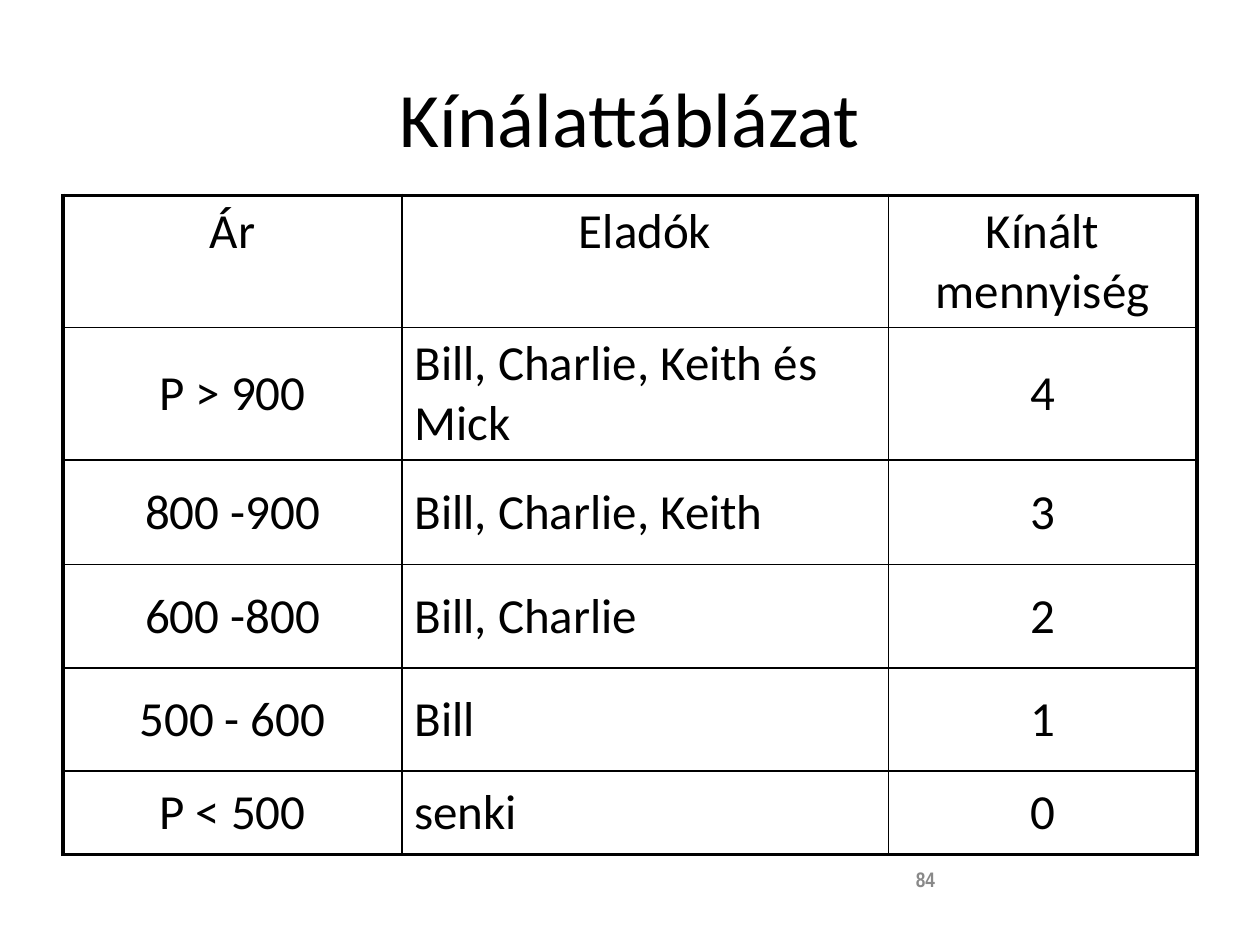
from lxml import etree
from pptx import Presentation
from pptx.dml.color import RGBColor
from pptx.enum.text import MSO_ANCHOR, PP_ALIGN
from pptx.oxml.ns import qn
from pptx.util import Inches, Pt

LEFT, CENTER = PP_ALIGN.LEFT, PP_ALIGN.CENTER
TOP, MIDDLE = MSO_ANCHOR.TOP, MSO_ANCHOR.MIDDLE

THEME = {
    "ink": "000000", "muted": "898989",
    "font": "Calibri", "number_font": "Arial Narrow",
    "title": 44, "body": 28, "number": 12,
    "outer_line": 2.25, "inner_line": 1,
}
ROWS = [
    ("Ár", "Eladók", "Kínált mennyiség"),
    ("P > 900", "Bill, Charlie, Keith és Mick", "4"),
    ("800 -900", "Bill, Charlie, Keith", "3"),
    ("600 -800", "Bill, Charlie", "2"),
    ("500 - 600", "Bill", "1"),
    ("P < 500", "senki", "0"),
]
COL_WIDTHS = [2.69, 3.86, 2.45]
ROW_HEIGHTS = [1.03, 1.04, 0.83, 0.82, 0.82, 0.66]


def write(tf, text, size=THEME["body"], font=THEME["font"], color=THEME["ink"],
          bold=False, align=LEFT):
    tf.word_wrap = True
    p = tf.paragraphs[0]
    p.alignment = align
    r = p.add_run()
    r.text = text
    r.font.size, r.font.name, r.font.bold = Pt(size), font, bold
    r.font.color.rgb = RGBColor.from_string(color)


def set_borders(cell, widths):
    """Draw the cell's sides; widths maps L, R, T and B, in that order, to points."""
    tcPr = cell._tc.get_or_add_tcPr()
    for side, width in widths.items():
        ln = etree.SubElement(tcPr, qn(f"a:ln{side}"), w=str(Pt(width)))
        fill = etree.SubElement(ln, qn("a:solidFill"))
        etree.SubElement(fill, qn("a:srgbClr"), val=THEME["ink"])


prs = Presentation()
prs.slide_width, prs.slide_height = Inches(10), Inches(7.5)
W, H = prs.slide_width, prs.slide_height
margin = int(W * 0.05)
content_width = W - 2 * margin
s = prs.slides.add_slide(prs.slide_layouts[5])

# Title
title = s.shapes.title
title.left, title.top = margin, int(H * 0.04)
title.width, title.height = content_width, Inches(1.25)
title.text_frame.vertical_anchor = MIDDLE
write(title.text_frame, "Kínálattáblázat", size=THEME["title"], align=CENTER)

# Supply table
table = s.shapes.add_table(len(ROWS), len(COL_WIDTHS), margin, Inches(1.55),
                           content_width, Inches(sum(ROW_HEIGHTS))).table
table.first_row = table.horz_banding = False
for column, width in zip(table.columns, COL_WIDTHS):
    column.width = Inches(width)
for row, height in zip(table.rows, ROW_HEIGHTS):
    row.height = Inches(height)

last_row, last_col = len(ROWS) - 1, len(COL_WIDTHS) - 1
for i, values in enumerate(ROWS):
    for j, value in enumerate(values):
        cell = table.cell(i, j)
        cell.vertical_anchor = TOP if i == 0 else MIDDLE
        on_edge = {"L": j == 0, "R": j == last_col, "T": i == 0, "B": i == last_row}
        set_borders(cell, {side: THEME["outer_line" if edge else "inner_line"]
                           for side, edge in on_edge.items()})
        cell.fill.background()
        write(cell.text_frame, value, align=LEFT if i > 0 and j == 1 else CENTER)

# Slide number
number_width = Inches(2.33)
number = s.shapes.add_textbox(W - margin - number_width, int(H * 0.91),
                              number_width, int(H * 0.07))
write(number.text_frame, "84", size=THEME["number"], font=THEME["number_font"],
      color=THEME["muted"], bold=True)

prs.save("out.pptx")
